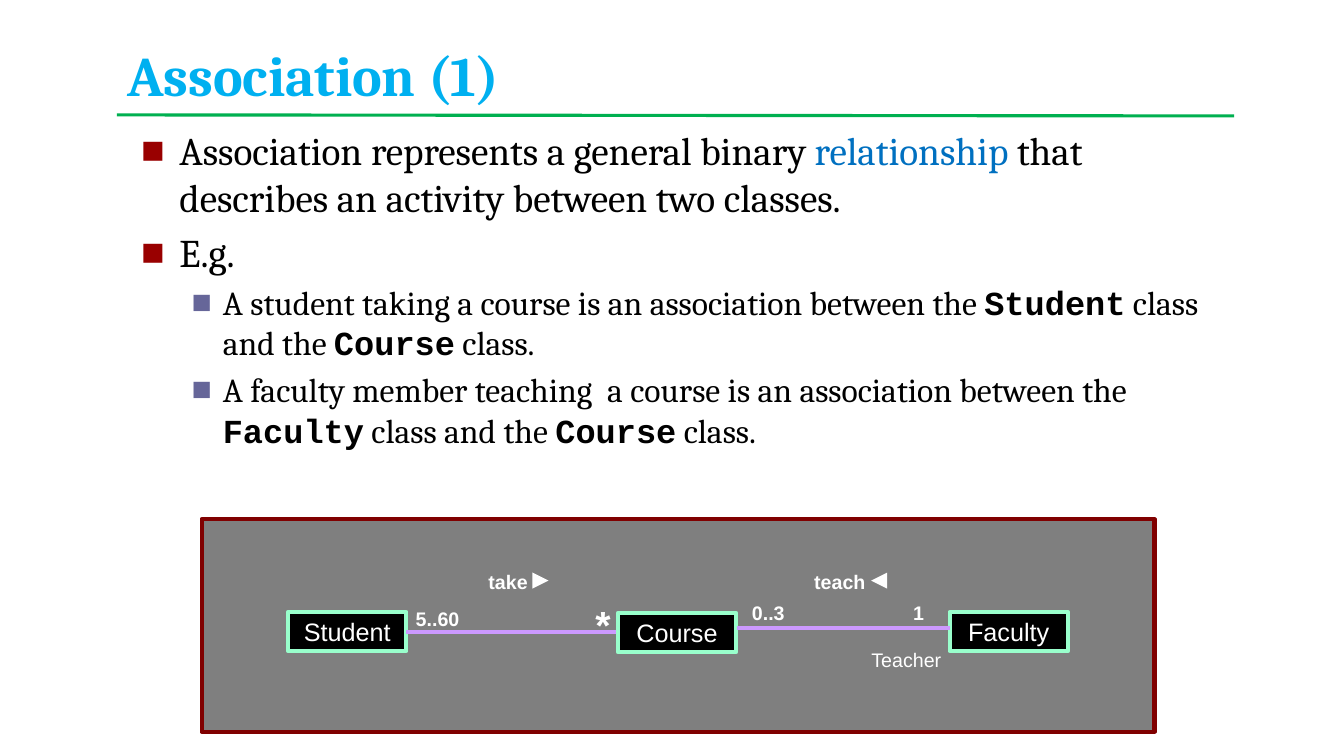
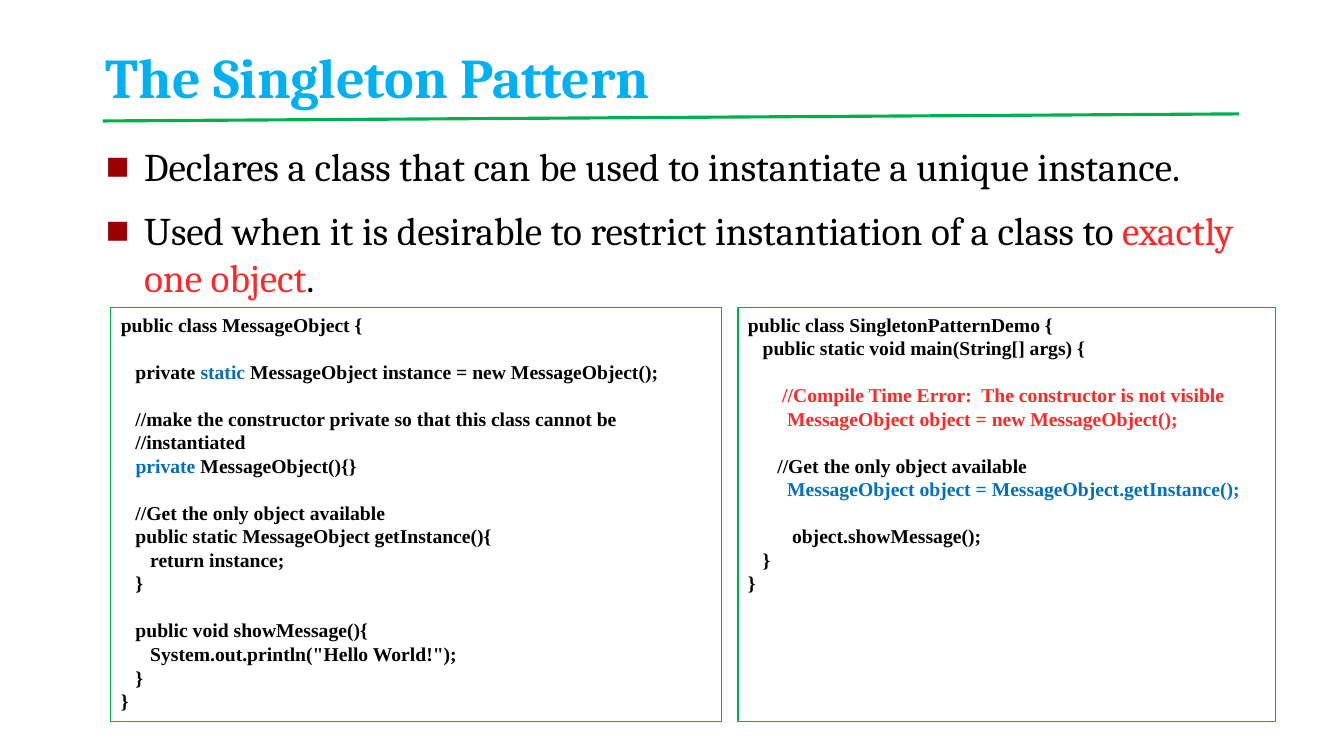
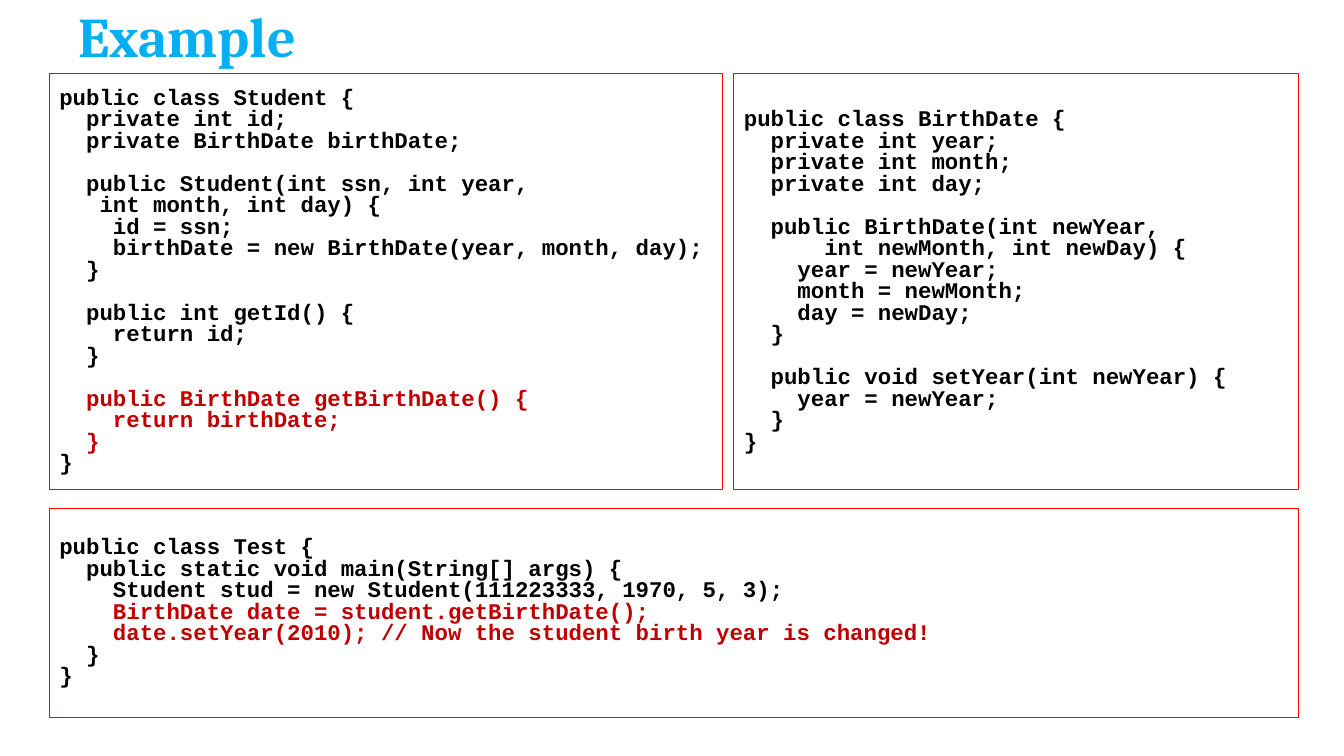
import dataclasses

import lxml.etree
import pptx
import pptx.dml.color
import pptx.enum.shapes
import pptx.enum.text
import pptx.oxml.ns
import pptx.util

Inches = pptx.util.Inches
Pt = pptx.util.Pt
RGBColor = pptx.dml.color.RGBColor
MSO_SHAPE = pptx.enum.shapes.MSO_SHAPE
MSO_ANCHOR = pptx.enum.text.MSO_ANCHOR
PP_ALIGN = pptx.enum.text.PP_ALIGN
qn = pptx.oxml.ns.qn


@dataclasses.dataclass(frozen=True)
class Theme:
    title: str = "00B0F0"
    green: str = "00B050"
    text: str = "000000"
    white: str = "FFFFFF"
    blue: str = "0070C0"
    bright_red: str = "FF2728"
    dark_red: str = "C00000"
    panel_border: str = "FF0000"
    bullets: tuple = ("990000", "666699")
    diagram_fill: str = "7F7F7F"
    diagram_border: str = "800000"
    class_border: str = "99FFCC"
    association: str = "CC99FF"
    serif: str = "Cambria"
    sans: str = "Arial"
    mono: str = "Courier New"
    code_serif: str = "Times New Roman"
    title_size: int = 40
    body_sizes: tuple = (28, 24)
    class_size: int = 18
    label_size: int = 14
    star_size: int = 28


theme = Theme()


def add_run(paragraph, text, font_name, size, color, bold=False):
    run = paragraph.add_run()
    run.text = text
    run.font.name = font_name
    run.font.size = Pt(size)
    run.font.bold = bold
    run.font.color.rgb = RGBColor.from_string(color)


def add_line(slide, start, end, color, width):
    line = slide.shapes.add_connector(
        pptx.enum.shapes.MSO_CONNECTOR.STRAIGHT,
        *[Inches(value) for value in (*start, *end)])
    line.line.color.rgb = RGBColor.from_string(color)
    line.line.width = Pt(width)
    lxml.etree.SubElement(line._element.spPr, qn("a:effectLst"))


presentation = pptx.Presentation()
presentation.slide_width = Inches(13.33)
presentation.slide_height = Inches(7.5)

# Titles and green rules
TITLE_AND_BODY, TITLE_ONLY = 1, 5
slides = []
for layout, title_text, title_box, rule in [
    (TITLE_AND_BODY, "Association (1)", (1.16, 0.44, 8.92, 0.67),
     ((1.16, 1.14), (12.24, 1.15))),
    (TITLE_AND_BODY, "The Singleton Pattern", (0.95, 0.52, 11.44, 0.61),
     ((1.02, 1.2), (12.29, 1.13))),
    (TITLE_ONLY, "Example", (0.68, 0.23, 4.83, 0.5), None),
]:
    slide = presentation.slides.add_slide(presentation.slide_layouts[layout])
    slides.append(slide)
    title = slide.shapes.title
    title.left, title.top, title.width, title.height = map(Inches, title_box)
    title.text_frame.auto_size = pptx.enum.text.MSO_AUTO_SIZE.NONE
    title.text_frame.vertical_anchor = MSO_ANCHOR.BOTTOM
    paragraph = title.text_frame.paragraphs[0]
    paragraph.alignment = PP_ALIGN.LEFT
    paragraph.line_spacing = 0.8
    add_run(paragraph, title_text, theme.serif, theme.title_size, theme.title, True)
    if rule:
        add_line(slide, *rule, theme.green, 2.25)

association_slide, singleton_slide, example_slide = slides

# Bulleted lists: (level, space before, runs); a run is (text, colour, is code)
association_points = [
    (0, 0, [("Association represents a general binary ", theme.text, False),
            ("relationship", theme.blue, False),
            (" that describes an activity between two classes.", theme.text, False)]),
    (0, 5.6, [("E.g.", theme.text, False)]),
    (1, 4.8, [("A student taking a course is an association between the ", theme.text, False),
              ("Student", theme.text, True),
              (" class and the ", theme.text, False),
              ("Course", theme.text, True),
              (" class.", theme.text, False)]),
    (1, 4.8, [("A faculty member teaching  a course is an association between the ",
               theme.text, False),
              ("Faculty", theme.text, True),
              (" class and the ", theme.text, False),
              ("Course", theme.text, True),
              (" class.", theme.text, False)]),
]
singleton_points = [
    (0, 0, [("Declares a class that can be used to instantiate a unique instance.",
             theme.text, False)]),
    (0, 12, [("Used when it is desirable to restrict instantiation of a class to ",
              theme.text, False),
             ("exactly one object", theme.bright_red, False),
             (".", theme.text, False)]),
]
bullet_indents = [(0.38, -0.38), (0.81, -0.31)]
for slide, body_box, points in [
    (association_slide, (1.3, 1.2, 10.78, 3.52), association_points),
    (singleton_slide, (0.95, 1.36, 11.55, 2.16), singleton_points),
]:
    body = slide.placeholders[1]
    body.left, body.top, body.width, body.height = map(Inches, body_box)
    frame = body.text_frame
    frame.auto_size = pptx.enum.text.MSO_AUTO_SIZE.NONE
    for index, (level, space_before, runs) in enumerate(points):
        paragraph = frame.add_paragraph() if index else frame.paragraphs[0]
        paragraph.level = level
        paragraph.space_before = Pt(space_before)
        properties = paragraph._p.get_or_add_pPr()
        margin, indent = bullet_indents[level]
        properties.set("marL", str(Inches(margin)))
        properties.set("indent", str(Inches(indent)))
        bullet_color = lxml.etree.SubElement(properties, qn("a:buClr"))
        lxml.etree.SubElement(bullet_color, qn("a:srgbClr"), val=theme.bullets[level])
        lxml.etree.SubElement(properties, qn("a:buFont"), typeface=theme.sans)
        lxml.etree.SubElement(properties, qn("a:buChar"), char="■")
        for text, color, is_code in runs:
            font_name = theme.mono if is_code else theme.serif
            add_run(paragraph, text, font_name, theme.body_sizes[level], color, is_code)

# Association diagram: background, classes and direction markers
for kind, box, fill, border, rotation, text in [
    (MSO_SHAPE.RECTANGLE, (2, 5.15, 9.45, 2.11),
     theme.diagram_fill, theme.diagram_border, 0, ""),
    (MSO_SHAPE.RECTANGLE, (2.86, 6.07, 1.17, 0.39),
     theme.text, theme.class_border, 0, "Student"),
    (MSO_SHAPE.RECTANGLE, (6.13, 6.08, 1.17, 0.39),
     theme.text, theme.class_border, 0, "Course"),
    (MSO_SHAPE.RECTANGLE, (9.42, 6.07, 1.17, 0.39),
     theme.text, theme.class_border, 0, "Faculty"),
    (MSO_SHAPE.ISOSCELES_TRIANGLE, (5.28, 5.68, 0.16, 0.16), theme.white, None, 90, ""),
    (MSO_SHAPE.ISOSCELES_TRIANGLE, (8.64, 5.68, 0.16, 0.16), theme.white, None, 270, ""),
]:
    shape = association_slide.shapes.add_shape(kind, *map(Inches, box))
    shape.shadow.inherit = False
    shape.rotation = rotation
    shape.fill.solid()
    shape.fill.fore_color.rgb = RGBColor.from_string(fill)
    if border:
        shape.line.color.rgb = RGBColor.from_string(border)
        shape.line.width = Pt(3)
    else:
        shape.line.fill.background()
    if text:
        shape.text_frame.vertical_anchor = MSO_ANCHOR.MIDDLE
        paragraph = shape.text_frame.paragraphs[0]
        paragraph.alignment = PP_ALIGN.CENTER
        add_run(paragraph, text, theme.sans, theme.class_size, theme.white)

for start, end in [((4.03, 6.27), (6.11, 6.27)), ((7.31, 6.23), (9.42, 6.23))]:
    add_line(association_slide, start, end, theme.association, 3)

for text, box, size, bold in [
    ("5..60", (3.95, 5.97, 0.78, 0.33), theme.label_size, True),
    ("*", (5.59, 5.91, 0.78, 0.57), theme.star_size, True),
    ("1", (8.72, 5.91, 0.78, 0.33), theme.label_size, True),
    ("0..3", (7.23, 5.91, 0.78, 0.33), theme.label_size, True),
    ("take", (4.65, 5.6, 0.78, 0.33), theme.label_size, True),
    ("teach", (7.86, 5.6, 0.94, 0.33), theme.label_size, True),
    ("Teacher", (8.17, 6.38, 1.64, 0.33), theme.label_size, False),
]:
    label = association_slide.shapes.add_textbox(*map(Inches, box))
    label.text_frame.word_wrap = True
    paragraph = label.text_frame.paragraphs[0]
    paragraph.alignment = PP_ALIGN.CENTER
    add_run(paragraph, text, theme.sans, size, theme.white, bold)

# Code panels: segments of (code, colour)
message_object_code = [
    ("""public class MessageObject {

   private """, theme.text),
    ("static", theme.blue),
    (""" MessageObject instance = new MessageObject();

   //make the constructor private so that this class cannot be
   //instantiated
   """, theme.text),
    ("private", theme.blue),
    (""" MessageObject(){}

   //Get the only object available
   public static MessageObject getInstance(){
      return instance;
   }

   public void showMessage(){
      System.out.println("Hello World!");
   }
}""", theme.text),
]
singleton_demo_code = [
    ("""public class SingletonPatternDemo {
   public static void main(String[] args) {

""", theme.text),
    ("""       //Compile Time Error:  The constructor is not visible
        MessageObject object = new MessageObject();

""", theme.bright_red),
    ("""      //Get the only object available
""", theme.text),
    ("""        MessageObject object = MessageObject.getInstance();

""", theme.blue),
    ("""         object.showMessage();
   }
}""", theme.text),
]
student_code = [
    ("""public class Student {
  private int id;
  private BirthDate birthDate;

  public Student(int ssn, int year,
   int month, int day) {
    id = ssn;
    birthDate = new BirthDate(year, month, day);
  }

  public int getId() {
    return id;
  }

""", theme.text),
    ("""  public BirthDate getBirthDate() {
    return birthDate;
  }
""", theme.dark_red),
    ("}", theme.text),
]
birth_date_code = [
    ("""public class BirthDate {
  private int year;
  private int month;
  private int day;

  public BirthDate(int newYear,
      int newMonth, int newDay) {
    year = newYear;
    month = newMonth;
    day = newDay;
  }

  public void setYear(int newYear) {
    year = newYear;
  }
}""", theme.text),
]
test_code = [
    ("""public class Test {
  public static void main(String[] args) {
    Student stud = new Student(111223333, 1970, 5, 3);
""", theme.text),
    ("""    BirthDate date = student.getBirthDate();
    date.setYear(2010); // Now the student birth year is changed!
""", theme.dark_red),
    ("""  }
}""", theme.text),
]

# Panel style: font, size, line spacing, height of a blank line, border, fill, anchor
singleton_style = (theme.code_serif, 14, 1.0, 16.8, theme.green, None, MSO_ANCHOR.TOP)
example_style = (theme.mono, 16, 0.8, 15.3, theme.panel_border, theme.white,
                 MSO_ANCHOR.MIDDLE)
for slide, box, style, segments in [
    (singleton_slide, (1.1, 3.05, 6.06, 4.11), singleton_style, message_object_code),
    (singleton_slide, (7.32, 3.05, 5.33, 4.11), singleton_style, singleton_demo_code),
    (example_slide, (0.49, 0.73, 6.68, 4.13), example_style, student_code),
    (example_slide, (7.28, 0.73, 5.6, 4.13), example_style, birth_date_code),
    (example_slide, (0.49, 5.04, 12.39, 2.08), example_style, test_code),
]:
    font_name, size, line_spacing, blank_height, border, fill, anchor = style
    panel = slide.shapes.add_shape(MSO_SHAPE.RECTANGLE, *map(Inches, box))
    panel.shadow.inherit = False
    panel.line.color.rgb = RGBColor.from_string(border)
    panel.line.width = Pt(0.75)
    if fill:
        panel.fill.solid()
        panel.fill.fore_color.rgb = RGBColor.from_string(fill)
    else:
        panel.fill.background()
    frame = panel.text_frame
    frame.word_wrap = True
    frame.vertical_anchor = anchor

    code_lines = [[]]
    for code, color in segments:
        for index, piece in enumerate(code.split("\n")):
            if index:
                code_lines.append([])
            if piece:
                code_lines[-1].append((piece, color))

    paragraph = None
    space_before = 0
    for pieces in code_lines:
        if not pieces:
            space_before = blank_height
            continue
        paragraph = frame.add_paragraph() if paragraph else frame.paragraphs[0]
        paragraph.alignment = PP_ALIGN.LEFT
        paragraph.line_spacing = line_spacing
        paragraph.space_before = Pt(space_before)
        space_before = 0
        for piece, color in pieces:
            add_run(paragraph, piece, font_name, size, color, True)

presentation.save("out.pptx")
